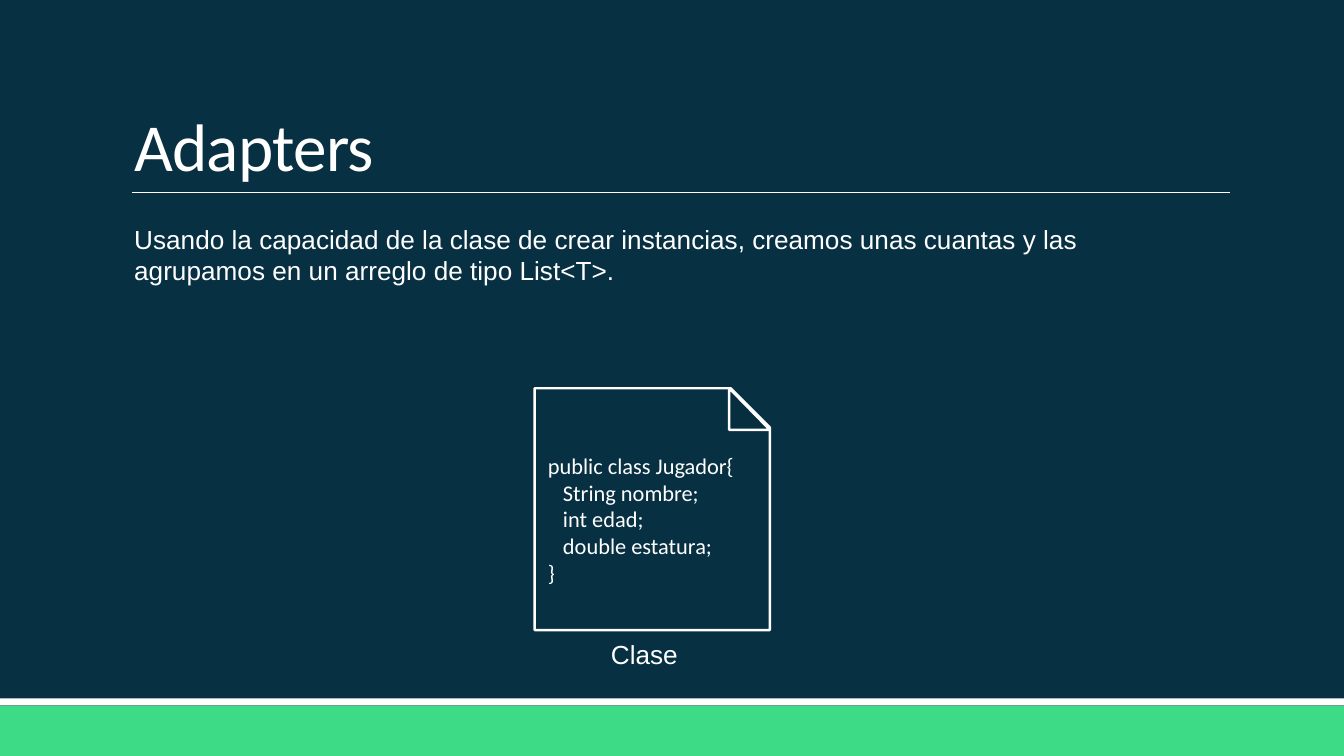
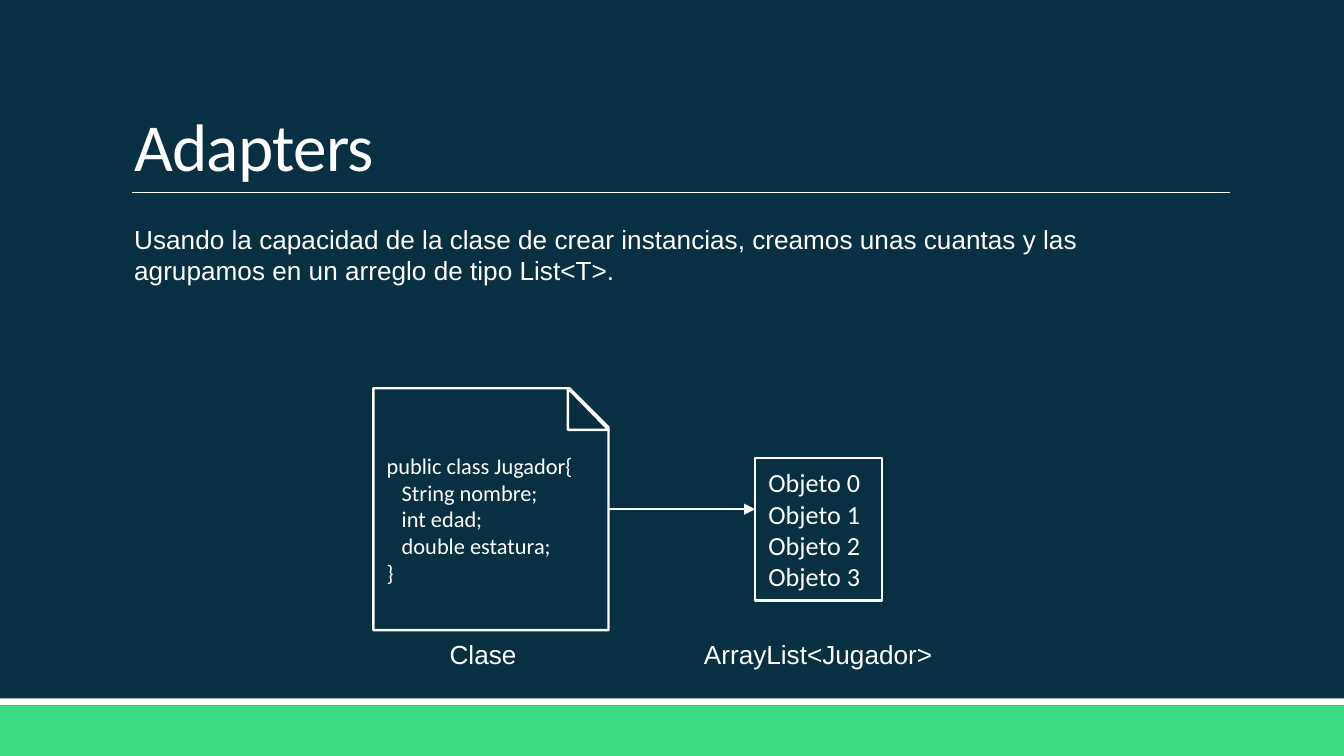
from lxml.etree import SubElement
from pptx import Presentation
from pptx.dml.color import RGBColor
from pptx.enum.shapes import MSO_CONNECTOR, MSO_SHAPE
from pptx.enum.text import MSO_ANCHOR, MSO_AUTO_SIZE, PP_ALIGN
from pptx.oxml.ns import qn
from pptx.util import Pt

NAVY, DARK_NAVY, GREEN, WHITE = "073042", "072E3F", "3DDB85", "FFFFFF"
BODY_FONT, CODE_FONT = "Arial", "Calibri"
SLIDE_WIDTH, SLIDE_HEIGHT = 720, 405
TEXT_LEFT, TEXT_WIDTH = 64.8, 594
RULE_LEFT, RULE_Y = 70.6, 103
FILE_TOP, FILE_WIDTH, FILE_HEIGHT = 208, 126, 129.6
FOLD_WIDTH, FOLD_HEIGHT = 21.8, 22.3
CAPTION_TOP, CAPTION_HEIGHT = 338.4, 24.2
INTRO = ("Usando la capacidad de la clase de crear instancias, creamos unas "
         "cuantas y las agrupamos en un arreglo de tipo List<T>.")
CLASS_CODE = ["public class Jugador{", "   String nombre;", "   int edad;",
              "   double estatura;", "}"]


def color(hex_code):
    """Return the colour for a hex string."""
    return RGBColor.from_string(hex_code)


def write(frame, lines, size, font, spacing=None, tracking=None):
    """Write white, left-aligned lines into a text frame."""
    for index, line in enumerate(lines):
        paragraph = frame.paragraphs[0] if index == 0 else frame.add_paragraph()
        paragraph.alignment = PP_ALIGN.LEFT
        if spacing:
            paragraph.line_spacing = spacing
        run = paragraph.add_run()
        run.text = line
        run.font.size = Pt(size)
        run.font.name = font
        run.font.color.rgb = color(WHITE)
        if tracking:
            run._r.get_or_add_rPr().set("spc", str(tracking))


def add_text(slide, left, top, width, height, text, wrap=True):
    """Add a body-style text box that grows with its text."""
    frame = slide.shapes.add_textbox(Pt(left), Pt(top), Pt(width), Pt(height)).text_frame
    frame.word_wrap = wrap
    frame.auto_size = MSO_AUTO_SIZE.SHAPE_TO_FIT_TEXT
    write(frame, [text], 14, BODY_FONT)


def add_caption(slide, left, width, text):
    """Add a label on the shared line under the diagram."""
    add_text(slide, left, CAPTION_TOP, width, CAPTION_HEIGHT, text, wrap=False)


def add_block(slide, kind, left, top, width, height, fill, outlined=True):
    """Add a filled shape, with a white outline if asked."""
    block = slide.shapes.add_shape(kind, Pt(left), Pt(top), Pt(width), Pt(height))
    block.shadow.inherit = False
    block.fill.solid()
    block.fill.fore_color.rgb = color(fill)
    if outlined:
        block.line.color.rgb = color(WHITE)
        block.line.width = Pt(1.25)
    else:
        block.line.fill.background()
    return block


def add_line(slide, left, right, y, width, arrow=False):
    """Add a white horizontal line, with an arrowhead at its right if asked."""
    line = slide.shapes.add_connector(MSO_CONNECTOR.STRAIGHT, Pt(left), Pt(y), Pt(right), Pt(y))
    line.line.color.rgb = color(WHITE)
    line.line.width = Pt(width)
    if arrow:
        SubElement(line.line._get_or_add_ln(), qn("a:tailEnd"), type="triangle")
    SubElement(line._element.spPr, qn("a:effectLst"))


def add_base_slide(deck):
    """Add a slide with the shared background, bands, title and introduction."""
    slide = deck.slides.add_slide(deck.slide_layouts[6])
    slide.background.fill.solid()
    slide.background.fill.fore_color.rgb = color(NAVY)
    for top, height, fill in [(378, 27, GREEN), (374.2, 3.8, WHITE)]:
        add_block(slide, MSO_SHAPE.RECTANGLE, 0, top, SLIDE_WIDTH, height, fill, outlined=False)
    add_line(slide, RULE_LEFT, TEXT_LEFT + TEXT_WIDTH, RULE_Y, 0.5)
    title = slide.shapes.add_textbox(Pt(TEXT_LEFT), Pt(17.3), Pt(TEXT_WIDTH), Pt(85.7)).text_frame
    title.word_wrap = True
    title.vertical_anchor = MSO_ANCHOR.BOTTOM
    write(title, ["Adapters"], 36, CODE_FONT, spacing=0.85, tracking=-40)
    add_text(slide, TEXT_LEFT, 116, TEXT_WIDTH, 41, INTRO)
    return slide


def add_listing(block, lines, size):
    """Write lines in the vertical middle of a block."""
    block.text_frame.word_wrap = True
    block.text_frame.vertical_anchor = MSO_ANCHOR.MIDDLE
    write(block.text_frame, lines, size, CODE_FONT)


def add_class_file(slide, left):
    """Add the class drawn as a sheet with a folded corner and its caption."""
    sheet = add_block(slide, MSO_SHAPE.SNIP_1_RECTANGLE, left, FILE_TOP,
                      FILE_WIDTH, FILE_HEIGHT, NAVY)
    add_listing(sheet, CLASS_CODE, 12)
    add_block(slide, MSO_SHAPE.RIGHT_TRIANGLE, left + FILE_WIDTH - FOLD_WIDTH, FILE_TOP,
              FOLD_WIDTH, FOLD_HEIGHT, DARK_NAVY)
    add_caption(slide, left + 33.8, 50.4, "Clase")


def add_object_list(slide, left):
    """Add the box of objects and its caption."""
    objects = add_block(slide, MSO_SHAPE.RECTANGLE, left, 245.5, 67.8, 76.3, NAVY)
    add_listing(objects, [f"Objeto {number}" for number in range(4)], 14)
    add_caption(slide, left - 34.6, 137.5, "ArrayList<Jugador>")


def main():
    """Build both slides and save the deck."""
    deck = Presentation()
    deck.slide_width, deck.slide_height = Pt(SLIDE_WIDTH), Pt(SLIDE_HEIGHT)

    class_slide = add_base_slide(deck)
    add_class_file(class_slide, 286.4)

    list_slide = add_base_slide(deck)
    file_left, objects_left = 200, 404.6
    add_class_file(list_slide, file_left)
    add_object_list(list_slide, objects_left)
    add_line(list_slide, file_left + FILE_WIDTH, objects_left,
             FILE_TOP + FILE_HEIGHT / 2, 1, arrow=True)

    deck.save("out.pptx")


if __name__ == "__main__":
    main()
